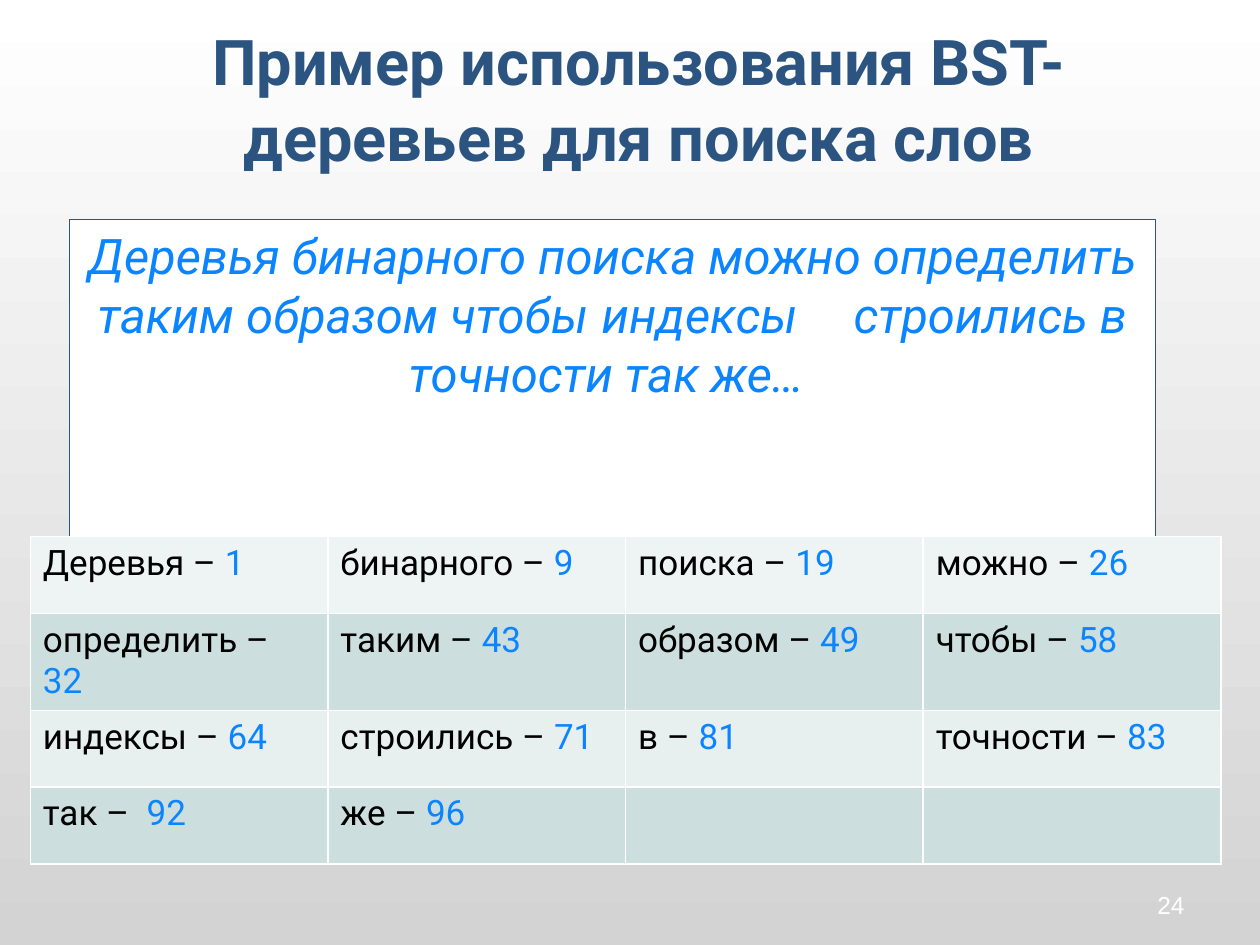
from lxml.etree import SubElement
from pptx import Presentation
from pptx.dml.color import RGBColor
from pptx.enum.shapes import MSO_SHAPE
from pptx.enum.text import MSO_ANCHOR, PP_ALIGN
from pptx.oxml.ns import qn
from pptx.util import Inches, Pt

NAVY, BLUE, BLACK, WHITE = "2B5481", "0A85FF", "000000", "FFFFFF"
ROW_FILLS = ["EEF4F4", "CCDEDE", "E7EFEF", "CCDEDE"]
WORDS = [
    [("Деревья – ", "1"), ("бинарного – ", "9"), ("поиска – ", "19"), ("можно – ", "26")],
    [("определить – ", "32"), ("таким – ", "43"), ("образом – ", "49"), ("чтобы – ", "58")],
    [("индексы – ", "64"), ("строились – ", "71"), ("в – ", "81"), ("точности – ", "83")],
    [("так –  ", "92"), ("же – ", "96")],
]


def rgb(color):
    return RGBColor.from_string(color)


def add_run(p, text, size, color, font="Roboto", bold=False, italic=False):
    r = p.add_run()
    r.text = text
    r.font.size = Pt(size)
    r.font.name = font
    r.font.bold = bold
    r.font.italic = italic
    r.font.color.rgb = rgb(color)


def first_paragraph(tf, align, space=0):
    tf.word_wrap = True
    p = tf.paragraphs[0]
    p.alignment = align
    p.space_before = Pt(space)
    return p


def set_background(s):
    fill = s.background.fill
    fill.gradient()
    fill.gradient_angle = 270
    for stop, color, pos in zip(fill.gradient_stops, (WHITE, "D3D3D3"), (0, 1)):
        stop.color.rgb = rgb(color)
        stop.position = pos


def add_title(s, box):
    sp = s.shapes.add_textbox(*map(Inches, box))
    sp.text_frame.vertical_anchor = MSO_ANCHOR.MIDDLE
    p = first_paragraph(sp.text_frame, PP_ALIGN.CENTER, 7.2)
    add_run(p, "Пример использования BST-деревьев для поиска слов", 36, NAVY, bold=True)


def add_sentence(s, box):
    sp = s.shapes.add_shape(MSO_SHAPE.RECTANGLE, *map(Inches, box))
    sp.shadow.inherit = False
    sp.fill.solid()
    sp.fill.fore_color.rgb = rgb(WHITE)
    sp.line.color.rgb = rgb(NAVY)
    sp.line.width = Pt(0.75)
    sp.text_frame.vertical_anchor = MSO_ANCHOR.TOP
    p = first_paragraph(sp.text_frame, PP_ALIGN.CENTER, 5.6)
    text = ("Деревья бинарного поиска можно определить таким образом чтобы "
            "\tиндексы \tстроились в точности так же… ")
    add_run(p, text, 28, BLUE, italic=True)


def set_borders(cell):
    tcPr = cell._tc.get_or_add_tcPr()
    for tag in ("a:lnL", "a:lnR", "a:lnT", "a:lnB"):
        ln = SubElement(tcPr, qn(tag), w=str(Pt(1)))
        SubElement(SubElement(ln, qn("a:solidFill")), qn("a:srgbClr"), val=WHITE)


def add_word_table(s, box):
    rows, cols = len(WORDS), len(WORDS[0])
    table = s.shapes.add_table(rows, cols, *map(Inches, box)).table
    for i, words in enumerate(WORDS):
        for j in range(cols):
            cell = table.cell(i, j)
            set_borders(cell)
            cell.fill.solid()
            cell.fill.fore_color.rgb = rgb(ROW_FILLS[i])
            if j < len(words):
                p = first_paragraph(cell.text_frame, PP_ALIGN.LEFT)
                for text, color in zip(words[j], (BLACK, BLUE)):
                    add_run(p, text, 20, color)


def add_page_number(s, box):
    sp = s.shapes.add_textbox(*map(Inches, box))
    sp.text_frame.vertical_anchor = MSO_ANCHOR.BOTTOM
    p = first_paragraph(sp.text_frame, PP_ALIGN.RIGHT)
    add_run(p, "24", 14, WHITE, font="Arial")


def main():
    prs = Presentation()
    prs.slide_width, prs.slide_height = Inches(10), Inches(7.5)
    s = prs.slides.add_slide(prs.slide_layouts[6])
    set_background(s)
    add_sentence(s, (0.55, 1.74, 8.62, 4.34))
    add_title(s, (0.57, 0.2, 9, 1.16))
    add_word_table(s, (0.24, 4.26, 9.45, 2.44))
    add_page_number(s, (7.17, 6.83, 2.33, 0.52))
    prs.save("out.pptx")


if __name__ == "__main__":
    main()
